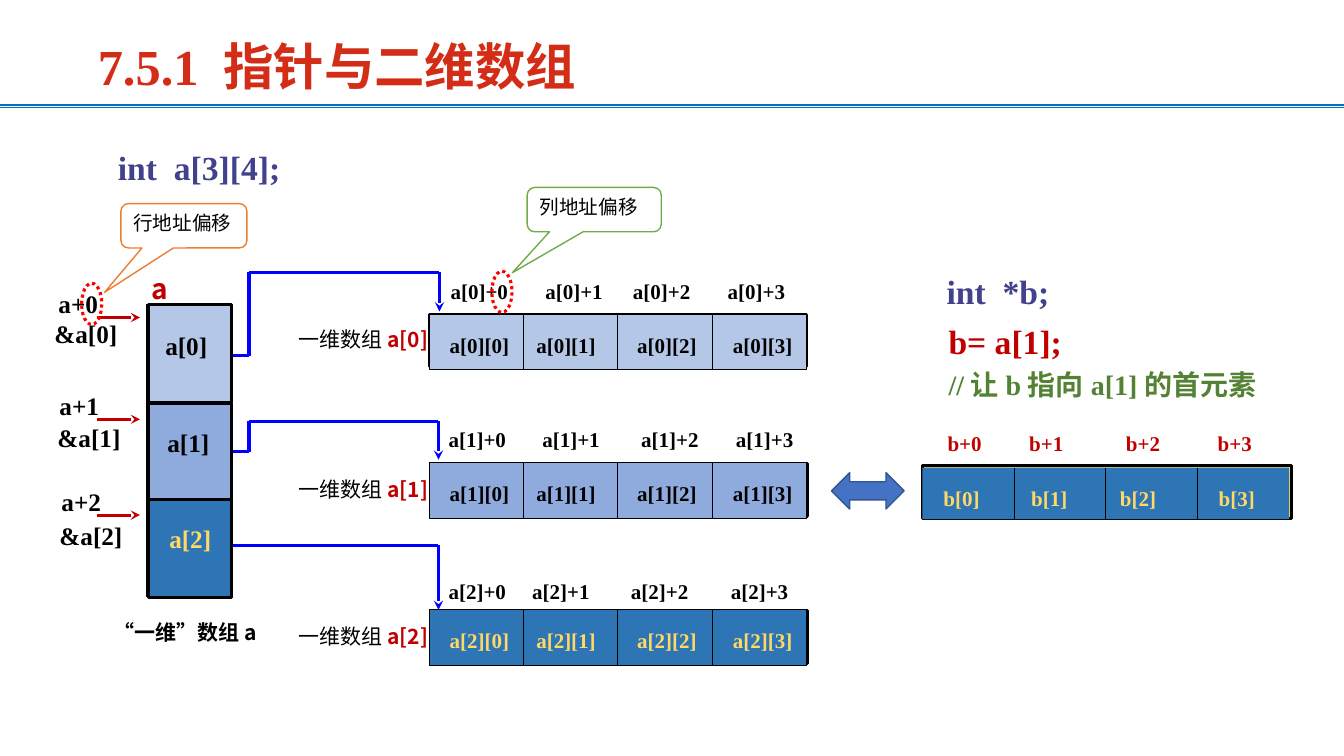
import pptx
import pptx.util
import pptx.dml.color
import pptx.enum.dml
import pptx.enum.shapes
import pptx.enum.text
import pptx.oxml.ns
import lxml.etree

RGB = pptx.dml.color.RGBColor
BLACK = RGB(0x00, 0x00, 0x00)
WHITE = RGB(0xFF, 0xFF, 0xFF)
RULE_BLUE = RGB(0x00, 0x70, 0xC0)
ARROW_BLUE = RGB(0x00, 0x00, 0xFF)
DARK_RED = RGB(0xC0, 0x00, 0x00)
DOT_RED = RGB(0xFF, 0x00, 0x00)
TITLE_RED = RGB(0xD3, 0x2D, 0x17)
CODE_BLUE = RGB(0x41, 0x41, 0x8C)
NOTE_GREEN = RGB(0x54, 0x82, 0x35)
PALE_BLUE = RGB(0xB4, 0xC7, 0xE7)
MID_BLUE = RGB(0x8F, 0xAA, 0xDC)
DEEP_BLUE = RGB(0x2E, 0x75, 0xB6)
LIGHT_GOLD = RGB(0xFF, 0xE6, 0x99)
GOLD = RGB(0xFF, 0xD9, 0x66)
AMBER = RGB(0xFF, 0xC0, 0x00)
ORANGE = RGB(0xED, 0x7D, 0x31)
GREEN = RGB(0x70, 0xAD, 0x47)
TWO_WAY_FILL = RGB(0x44, 0x72, 0xC4)
TWO_WAY_LINE = RGB(0x32, 0x54, 0x91)

COLUMNS, ROWS = 133.33, 75
SERIF, SANS = "Times New Roman", "Noto Sans CJK SC"
SHAPE = pptx.enum.shapes.MSO_SHAPE
ANCHOR = pptx.enum.text.MSO_ANCHOR


def serif(text, color=BLACK, size=15):
    return text, color, size, True, SERIF


def sans(text, color=BLACK, size=15, bold=False):
    return text, color, size, bold, SANS


def sub_element(parent, tag, **attributes):
    return lxml.etree.SubElement(parent, pptx.oxml.ns.qn(tag), **attributes)


class ArraySlide:
    def __init__(self, deck):
        self.slide = deck.slides.add_slide(deck.slide_layouts[6])
        self.column = deck.slide_width / COLUMNS
        self.row = deck.slide_height / ROWS

    def x(self, columns):
        return round(columns * self.column)

    def y(self, rows):
        return round(rows * self.row)

    def place(self, at):
        left, top, width, height = at
        return self.x(left), self.y(top), self.x(width), self.y(height)

    def line(self, start, end, color, width, arrow=False):
        connector = self.slide.shapes.add_connector(
            pptx.enum.shapes.MSO_CONNECTOR.STRAIGHT,
            self.x(start[0]), self.y(start[1]), self.x(end[0]), self.y(end[1]))
        connector.line.color.rgb = color
        connector.line.width = pptx.util.Pt(width)
        if arrow:
            sub_element(connector.line._get_or_add_ln(), "a:tailEnd", type="stealth")
        sub_element(connector._element.spPr, "a:effectLst")
        return connector

    def route(self, *corners):
        for step, (start, end) in enumerate(zip(corners, corners[1:]), 2):
            self.line(start, end, ARROW_BLUE, 2.25, arrow=step == len(corners))

    def shape(self, kind, at, fill=None, line=None, width=0.75, adjust=()):
        shape = self.slide.shapes.add_shape(kind, *self.place(at))
        shape.shadow.inherit = False
        for index, value in enumerate(adjust):
            shape.adjustments[index] = value
        if fill is None:
            shape.fill.background()
        else:
            shape.fill.solid()
            shape.fill.fore_color.rgb = fill
        if line is None:
            shape.line.fill.background()
        else:
            shape.line.color.rgb = line
            shape.line.width = pptx.util.Pt(width)
        return shape

    def fill_text(self, shape, *paragraphs, spacing=None, inset=1, top=0.5, anchor=ANCHOR.TOP):
        frame = shape.text_frame
        frame.word_wrap = True
        frame.vertical_anchor = anchor
        frame.margin_left, frame.margin_right = self.x(inset), 0
        frame.margin_top, frame.margin_bottom = self.y(top), 0
        for index, runs in enumerate(paragraphs):
            paragraph = frame.add_paragraph() if index else frame.paragraphs[0]
            paragraph.alignment = pptx.enum.text.PP_ALIGN.LEFT
            paragraph.line_spacing = spacing
            paragraph.text = runs[0][0]
            for words in runs[1:]:
                paragraph.add_run().text = words[0]
            for run, (_, color, size, bold, face) in zip(paragraph.runs, runs):
                run.font.name = face
                run.font.size = pptx.util.Pt(size)
                run.font.bold = bold
                run.font.color.rgb = color
                sub_element(run._r.get_or_add_rPr(), "a:ea", typeface=SANS)

    def text(self, at, *paragraphs, **layout):
        self.fill_text(self.slide.shapes.add_textbox(*self.place(at)), *paragraphs, **layout)

    def tabbed(self, shape, words, starts, color, spacing=None):
        left = shape.left / self.column
        properties = shape.text_frame.paragraphs[0]._p.get_or_add_pPr()
        tabs = sub_element(properties, "a:tabLst")
        for start in starts[1:]:
            sub_element(tabs, "a:tab", pos=str(self.x(start - starts[0])), algn="l")
        self.fill_text(shape, [serif("\t".join(words), color)],
                       spacing=spacing, inset=starts[0] - left)

    def array_row(self, back, back_fill, front, fill, outline, words, starts, color):
        self.shape(SHAPE.RECTANGLE, back, back_fill, BLACK, 2.25)
        cells = self.shape(SHAPE.RECTANGLE, front, fill, outline)
        self.tabbed(cells, words, starts, color, spacing=1.5)
        left, top, width, height = front
        for quarter in (1, 2, 3):
            x = left + width * quarter / 4
            divider = self.line((x, top), (x, top + height), BLACK, 0.75)
            if quarter == 2:
                divider.begin_connect(cells, 0)
                divider.end_connect(cells, 2)

    def address_labels(self, at, words, starts, color=BLACK, fill=None):
        self.tabbed(self.shape(SHAPE.RECTANGLE, at, fill), words, starts, color)

    def callout(self, at, words, line, adjust):
        bubble = self.shape(SHAPE.ROUNDED_RECTANGULAR_CALLOUT, at, WHITE, line, 1, adjust)
        self.fill_text(bubble, [sans(words, size=14)])

    def dotted_ring(self, left, top):
        ring = self.shape(SHAPE.OVAL, (left, top, 2, 4.1), None, DOT_RED, 2.25)
        ring.line.dash_style = pptx.enum.dml.MSO_LINE.ROUND_DOT


def main():
    deck = pptx.Presentation()
    deck.slide_width = pptx.util.Inches(13.33)
    deck.slide_height = pptx.util.Inches(7.5)
    page = ArraySlide(deck)

    for y, width in ((10.7, 0.5), (10.4, 1.5)):
        page.line((0, y), (COLUMNS, y), RULE_BLUE, width)
    page.text((8.7, 1.8, 67.5, 7.7), [serif("7.5.1 指针与二维数组", TITLE_RED, 36)],
              anchor=ANCHOR.BOTTOM)
    for y in (31.5, 41.6, 51.1):
        page.line((9.6, y), (13.9, y), DARK_RED, 2.25, arrow=True)

    cell_starts = (44.6, 53.2, 63.2, 72.7)
    row_styles = (
        (42.6, 31.2, 31.2, LIGHT_GOLD, PALE_BLUE, BLACK),
        (42.7, 46, 45.9, GOLD, MID_BLUE, BLACK),
        (42.7, 60.6, 60.5, AMBER, DEEP_BLUE, GOLD),
    )
    for i, (back_x, back_y, y, back_fill, fill, color) in enumerate(row_styles):
        page.array_row((back_x, back_y, 37.4, 5.2), back_fill, (42.6, y, 37.4, 5.5), fill, BLACK,
                       [f"a[{i}][{j}]" for j in range(4)], cell_starts, color)

    page.route((20.9, 35.3), (24.7, 35.3), (24.7, 27), (43.6, 27), (43.6, 30.9))
    page.route((20.9, 44.8), (24.7, 44.8), (24.7, 41.8), (43.5, 41.8), (43.5, 45.6))
    page.route((20.9, 54.1), (43.5, 54.1), (43.5, 60.5))

    page.callout((12, 20.2, 12.5, 4.4), "行地址偏移", ORANGE, (-0.63, 1.5, 0.17))
    page.callout((52.3, 18.6, 13.3, 4.4), "列地址偏移", GREEN, (-0.61, 1.42, 0.17))

    address_rows = (
        ((43.2, 27.1, 36, 3.3), (44.7, 54.1, 62.8, 72.2), 31.9),
        ((42.5, 41.8, 37.6, 3.8), (44.5, 53.8, 63.6, 73), 46.8),
        ((42.5, 56.9, 37.3, 3.6), (44.5, 52.8, 62.6, 72.5), 61.4),
    )
    for i, (at, starts, name_y) in enumerate(address_rows):
        page.address_labels(at, [f"a[{i}]+{j}" for j in range(4)], starts)
        page.text((28.6, name_y, 14.9, 4.4),
                  [sans("一维数组"), sans(f"a[{i}]", DARK_RED, bold=True)])

    for y, fill in ((30.2, PALE_BLUE), (40, MID_BLUE), (49.6, DEEP_BLUE)):
        page.shape(SHAPE.RECTANGLE, (14.7, y, 8.3, 9.7), fill, BLACK, 2.25)
    caption = page.shape(SHAPE.RECTANGLE, (10.3, 61, 16.7, 5.4), WHITE)
    page.fill_text(caption, [sans("“一维”数组a", bold=True)])
    for x, y in ((14.8, 39.8), (14.6, 49.7)):
        page.line((x, y), (x + 8, y), BLACK, 0.75)
    page.shape(SHAPE.RECTANGLE, (14.5, 30.2, 8.5, 29), None, BLACK)
    for i, (x, y, color) in enumerate(((15.4, 32.3, BLACK), (15.6, 41.9, BLACK), (15.8, 51.4, GOLD))):
        page.text((x, y, 7, 4.5), [serif(f"a[{i}]", color, 18)])

    page.array_row((91.5, 46.2, 36.6, 5.2), GOLD, (91.5, 46.4, 36.4, 5.1), DEEP_BLUE, None,
                   [f"b[{j}]" for j in range(4)], (93.6, 102.3, 111.1, 120.9), GOLD)
    page.address_labels((92.6, 42.2, 35.2, 3.7), [f"b+{j}" for j in range(4)],
                        (94, 102.1, 111.7, 120.8), DARK_RED, WHITE)
    for at, declaration in (((5.7, 12.4, 37.3, 6.2), "int  a[3][4];"),
                            ((87.9, 24.7, 23.7, 6.2), "int  *b;")):
        page.text(at, [serif(declaration, CODE_BLUE, 24)], spacing=1.3, inset=6, top=1)
    page.text((93.1, 30.5, 33.5, 8.9), [serif("b= a[1];", DARK_RED, 24)],
              [serif("//让b指向a[1]的首元素", NOTE_GREEN, 20)], spacing=1.2)

    pointer_labels = ((4.8, 28.1, 4.4, 31.1), (4.9, 38.2, 4.7, 41.4), (5.1, 47.8, 4.9, 51.1))
    for i, (sum_x, sum_y, address_x, address_y) in enumerate(pointer_labels):
        page.text((sum_x, sum_y, 11.8, 4.4), [serif(f"a+{i}", size=18)])
        page.text((address_x, address_y, 8.5, 4), [serif(f"&a[{i}]", size=18)])
    page.text((14, 26.4, 3.6, 4.4), [sans("a", DARK_RED, 20, True)])
    page.dotted_ring(8.1, 28.1)
    page.dotted_ring(48.8, 26.9)
    page.shape(SHAPE.LEFT_RIGHT_ARROW, (82.5, 46.9, 7.2, 3.6), TWO_WAY_FILL, TWO_WAY_LINE, 1)

    deck.save("out.pptx")


if __name__ == "__main__":
    main()
